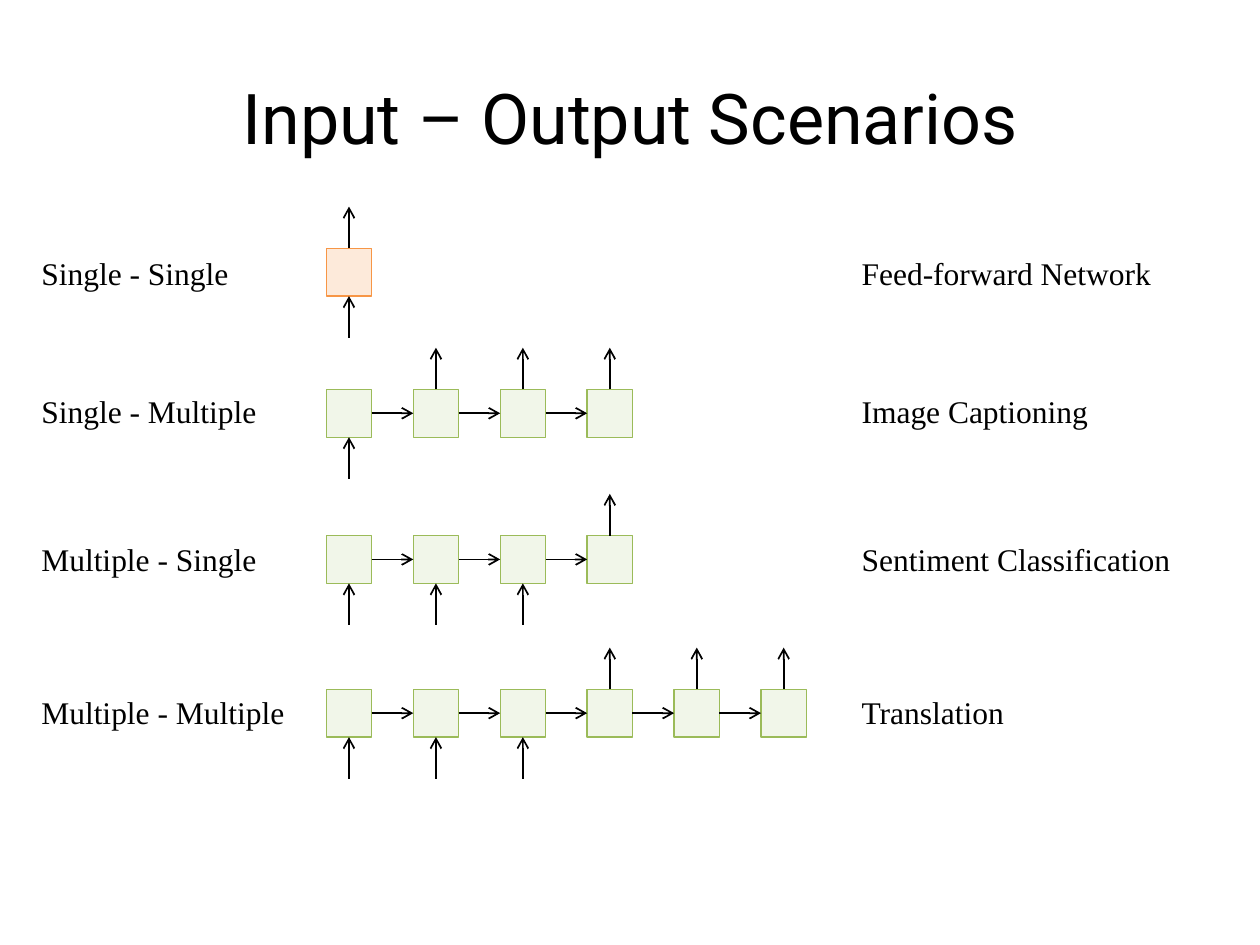
from lxml import etree
from pptx import Presentation
from pptx.dml.color import RGBColor
from pptx.enum.shapes import MSO_CONNECTOR, MSO_SHAPE
from pptx.enum.text import MSO_ANCHOR, PP_ALIGN
from pptx.oxml.ns import qn
from pptx.util import Inches, Pt

STRAIGHT = MSO_CONNECTOR.STRAIGHT
RECTANGLE = MSO_SHAPE.RECTANGLE
MIDDLE = MSO_ANCHOR.MIDDLE
CENTER = PP_ALIGN.CENTER

BLACK = RGBColor(0x00, 0x00, 0x00)
ORANGE = RGBColor(0xF7, 0x96, 0x46)
ORANGE_TINT = RGBColor(0xFA, 0xC0, 0x90)
GREEN = RGBColor(0x9B, 0xBB, 0x59)
GREEN_TINT = RGBColor(0xD7, 0xE4, 0xBD)

# Grid of network cells, in inches
FIRST_CELL, PITCH = 2.59, 0.69
CELL_W, CELL_H = 0.36, 0.38
ARROW = 0.33
SCENARIO_X, SCENARIO_W = 0.23, 2.36
EXAMPLE_X, EXAMPLE_W = 6.74, 3.26

# Scenario, example, label top, cell top, cell count,
# columns with an input, columns with an output, line and fill colour
SCENARIOS = [
    ("Single - Single", "Feed-forward Network", 1.97, 1.97, 1,
     [0], [0], ORANGE, ORANGE_TINT),
    ("Single - Multiple", "Image Captioning", 3.06, 3.09, 4,
     [0], [1, 2, 3], GREEN, GREEN_TINT),
    ("Multiple - Single", "Sentiment Classification", 4.24, 4.25, 4,
     [0, 1, 2], [3], GREEN, GREEN_TINT),
    ("Multiple - Multiple", "Translation", 5.45, 5.47, 6,
     [0, 1, 2], [3, 4, 5], GREEN, GREEN_TINT),
]


def add_arrow(shapes, x1, y1, x2, y2):
    arrow = shapes.add_connector(
        STRAIGHT, Inches(x1), Inches(y1), Inches(x2), Inches(y2))
    arrow.line.color.rgb = BLACK
    arrow.line.width = Pt(1)
    etree.SubElement(arrow.line._get_or_add_ln(), qn("a:tailEnd"), type="arrow")
    etree.SubElement(arrow._element.spPr, qn("a:effectLst"))


def add_label(shapes, text, left, top, width):
    label = shapes.add_textbox(
        Inches(left), Inches(top), Inches(width), Inches(0.4))
    label.text_frame.word_wrap = True
    run = label.text_frame.paragraphs[0].add_run()
    run.text = text
    run.font.name = "Times New Roman"
    run.font.size = Pt(18)
    run.font.color.rgb = BLACK


prs = Presentation()
prs.slide_width, prs.slide_height = Inches(10), Inches(7.5)
slide = prs.slides.add_slide(prs.slide_layouts[5])

title = slide.shapes.title
title.left, title.top = Inches(0.5), Inches(0.3)
title.width, title.height = Inches(9), Inches(1.25)
title.text_frame.vertical_anchor = MIDDLE
heading = title.text_frame.paragraphs[0]
heading.alignment = CENTER
heading_run = heading.add_run()
heading_run.text = "Input – Output Scenarios"
heading_run.font.name = "Roboto"
heading_run.font.size = Pt(40)
heading_run.font.color.rgb = BLACK

for (scenario, example, label_top, top, count,
     inputs, outputs, edge, tint) in SCENARIOS:
    network = slide.shapes.add_group_shape().shapes
    bottom = top + CELL_H
    for column in range(count):
        left = FIRST_CELL + column * PITCH
        center = left + CELL_W / 2
        cell = network.add_shape(
            RECTANGLE, Inches(left), Inches(top), Inches(CELL_W), Inches(CELL_H))
        cell.shadow.inherit = False
        cell.fill.solid()
        cell.fill.fore_color.rgb = tint
        tint_color = cell._element.spPr.find(qn("a:solidFill"))[0]
        etree.SubElement(tint_color, qn("a:alpha"), val="33000")
        cell.line.color.rgb = edge
        cell.line.width = Pt(0.75)
        if column in inputs:
            add_arrow(network, center, bottom + ARROW, center, bottom)
        if column in outputs:
            add_arrow(network, center, top, center, top - ARROW)
        if column > 0:
            middle = top + CELL_H / 2
            add_arrow(network, left - ARROW, middle, left, middle)
    add_label(network, scenario, SCENARIO_X, label_top, SCENARIO_W)
    add_label(slide.shapes, example, EXAMPLE_X, label_top, EXAMPLE_W)

prs.save("out.pptx")
